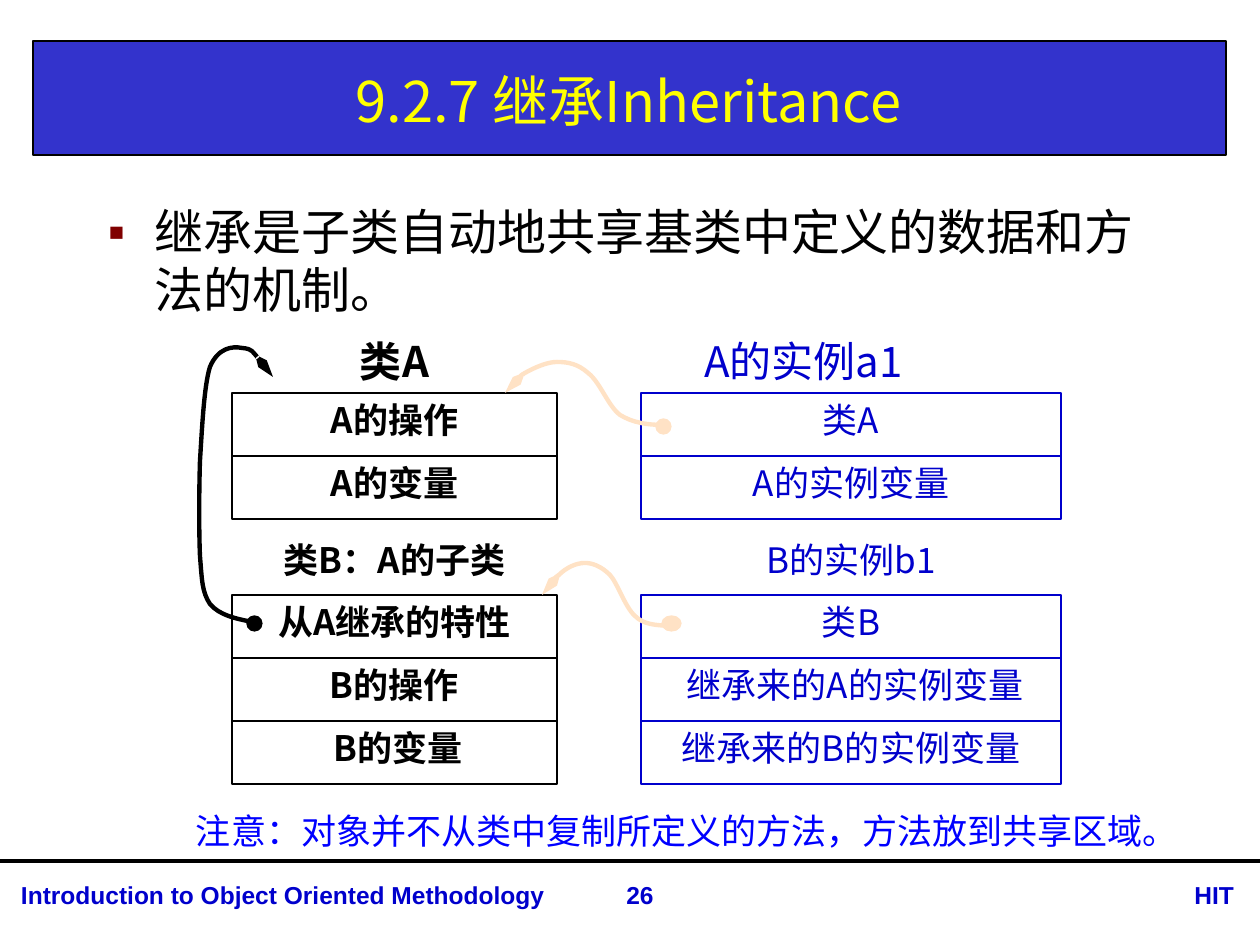
"""Build the slide on inheritance, with class and instance diagrams."""
from lxml.etree import SubElement
from pptx import Presentation
from pptx.dml.color import RGBColor
from pptx.enum.shapes import MSO_CONNECTOR as Connector, MSO_SHAPE as Preset
from pptx.enum.text import MSO_ANCHOR as Anchor, MSO_AUTO_SIZE as AutoSize, PP_ALIGN as Align
from pptx.oxml.ns import qn
from pptx.util import Emu, Pt

SCALE = 914400 / 126
BLACK = RGBColor(0x00, 0x00, 0x00)
NAVY = RGBColor(0x00, 0x00, 0xCC)
BLUE = RGBColor(0x00, 0x00, 0xFF)
BANNER = RGBColor(0x33, 0x33, 0xCC)
YELLOW = RGBColor(0xFF, 0xFF, 0x00)
PEACH = RGBColor(0xFF, 0xE2, 0xC5)
CJK = "Noto Sans CJK SC"


def px(*lengths):
    return [Emu(round(length * SCALE)) for length in lengths]


def write(shape, text, size, color, align=Align.CENTER, anchor=Anchor.TOP,
          bold=False, font=CJK, leading=None, side=5, wrap=True):
    frame = shape.text_frame
    margin, edge = px(side, 6)
    layout = {"word_wrap": wrap, "auto_size": AutoSize.NONE, "vertical_anchor": anchor,
              "margin_left": margin, "margin_right": margin,
              "margin_top": edge, "margin_bottom": edge}
    for name, value in layout.items():
        setattr(frame, name, value)
    para = frame.paragraphs[0]
    para.alignment = align
    para.space_before = Pt(0)
    if leading:
        para.line_spacing = Pt(leading)
    span = para.add_run()
    span.text = text
    for name, value in {"name": font, "size": Pt(size), "bold": bold}.items():
        setattr(span.font, name, value)
    span.font.color.rgb = color
    SubElement(span.font._element, qn("a:ea"), typeface=font)
    return para


deck = Presentation()
deck.slide_width, deck.slide_height = px(1260, 945)
page = deck.slides.add_slide(deck.slide_layouts[1])
shapes = page.shapes

title, body = page.placeholders
for holder, place in ((title, (33, 45, 1191, 110)), (body, (95, 197, 1091, 596))):
    holder.left, holder.top, holder.width, holder.height = px(*place)
write(title, "9.2.7 继承Inheritance", 32, YELLOW, anchor=Anchor.MIDDLE, side=13)
point = write(body, "继承是子类自动地共享基类中定义的数据和方法的机制。", 28, BLACK,
              align=Align.LEFT, leading=33, side=13)
props = point._p.get_or_add_pPr()
indent = px(47)[0]
props.set("marL", str(indent))
props.set("indent", str(-indent))
SubElement(SubElement(props, qn("a:buClr")), qn("a:srgbClr"), val="800000")
SubElement(props, qn("a:buChar"), char="▪")

banner = shapes.add_shape(Preset.RECTANGLE, *px(33, 41, 1193, 114))
banner.shadow.inherit = False
banner.fill.solid()
banner.fill.fore_color.rgb = BANNER
banner.line.color.rgb = BLACK
banner.line.width = Pt(0.75)

rule = shapes.add_connector(Connector.STRAIGHT, *px(0, 861, 1260, 861))
rule.line.color.rgb = BLACK
rule.line.width = Pt(2.25)
SubElement(rule._element.spPr, qn("a:effectLst"))

furniture = [banner, rule]
footers = (
    (8, 583, "Introduction to Object Oriented Methodology", Align.LEFT),
    (1117, 130, "HIT", Align.RIGHT),
    (575, 130, "26", Align.CENTER),
)
for left, width, text, align in footers:
    box = shapes.add_textbox(*px(left, 874, width, 43))
    write(box, text, 14, NAVY, align=align, bold=True, font="Arial", side=13)
    furniture.append(box)
for part in furniture:
    page.slide_layout.shapes.element.append(part.element)

CLASS_LEFT, CLASS_WIDTH, INSTANCE_LEFT, INSTANCE_WIDTH = 232, 325, 641, 420
ROW = 63
labels = (
    (CLASS_LEFT, 330, CLASS_WIDTH, ROW, "类A", 24, BLACK),
    (INSTANCE_LEFT, 330, CLASS_WIDTH, ROW, "A的实例a1", 24, NAVY),
    (CLASS_LEFT, 532, CLASS_WIDTH, 54, "类B：A的子类", 20, BLACK),
    (INSTANCE_LEFT, 532, INSTANCE_WIDTH, 54, "B的实例b1", 20, NAVY),
)
for left, top, width, height, text, size, color in labels:
    box = shapes.add_textbox(*px(left, top, width, height))
    write(box, text, size, color, bold=color == BLACK, leading=size * 1.2)

stacks = (
    (CLASS_LEFT, 393, CLASS_WIDTH, BLACK, ("A的操作", "A的变量")),
    (INSTANCE_LEFT, 393, INSTANCE_WIDTH, NAVY, ("类A", "A的实例变量")),
    (CLASS_LEFT, 595, CLASS_WIDTH, BLACK, ("从A继承的特性", "B的操作", " B的变量")),
    (INSTANCE_LEFT, 595, INSTANCE_WIDTH, NAVY,
     ("类B", " 继承来的A的实例变量", "继承来的B的实例变量")),
)
for left, top, width, color, rows in stacks:
    for index, text in enumerate(rows):
        cell = shapes.add_shape(Preset.RECTANGLE, *px(left, top + index * ROW, width, ROW))
        cell.shadow.inherit = False
        cell.fill.background()
        cell.line.color.rgb = color
        cell.line.width = Pt(0.75)
        write(cell, text, 20, color, bold=color == BLACK, leading=24)

links = (
    (PEACH, (656, 419, 15, 15), (
        (663, 425), (648, 425), (633, 423), (620, 415), (608, 406), (600, 382),
        (588, 373), (578, 364), (568, 362), (557, 362), (547, 362), (534, 368),
        (525, 373), (517, 378), (510, 386), (505, 393))),
    (BLACK, (247, 616, 15, 15), (
        (253, 622), (236, 619), (219, 615), (210, 604), (202, 592), (202, 580),
        (200, 556), (199, 533), (199, 493), (200, 461), (202, 430), (204, 386),
        (210, 367), (218, 348), (232, 346), (242, 348), (253, 349), (263, 363),
        (273, 377))),
    (PEACH, (662, 616, 19, 15), (
        (668, 626), (656, 625), (644, 625), (635, 616), (625, 607), (617, 582),
        (610, 575), (601, 566), (592, 563), (585, 563), (576, 563), (566, 568),
        (559, 575), (552, 580), (547, 587), (542, 595))),
)
for color, place, knots in links:
    dot = shapes.add_shape(Preset.OVAL, *px(*place))
    dot.shadow.inherit = False
    dot.fill.solid()
    dot.fill.fore_color.rgb = color
    dot.line.color.rgb = color
    dot.line.width = Pt(0.75)

    builder = shapes.build_freeform(*knots[0], scale=SCALE)
    builder.add_line_segments(knots[1:], close=False)
    curve = builder.convert_to_shape()
    outline = next(curve.element.iter(qn("a:path")))
    segments = outline.findall(qn("a:lnTo"))
    for start in range(0, len(segments), 3):
        bezier = SubElement(outline, qn("a:cubicBezTo"))
        for segment in segments[start:start + 3]:
            bezier.append(segment[0])
            outline.remove(segment)
    curve.shadow.inherit = False
    curve.fill.background()
    curve.line.color.rgb = color
    curve.line.width = Pt(2.5)
    SubElement(curve.line._get_or_add_ln(), qn("a:tailEnd"), type="arrow", w="sm", len="lg")

note = shapes.add_textbox(*px(183, 803, 1041, 55))
write(note, "注意：对象并不从类中复制所定义的方法，方法放到共享区域。", 20, BLUE,
      align=Align.LEFT, leading=24, side=13, wrap=False)

deck.save("out.pptx")
